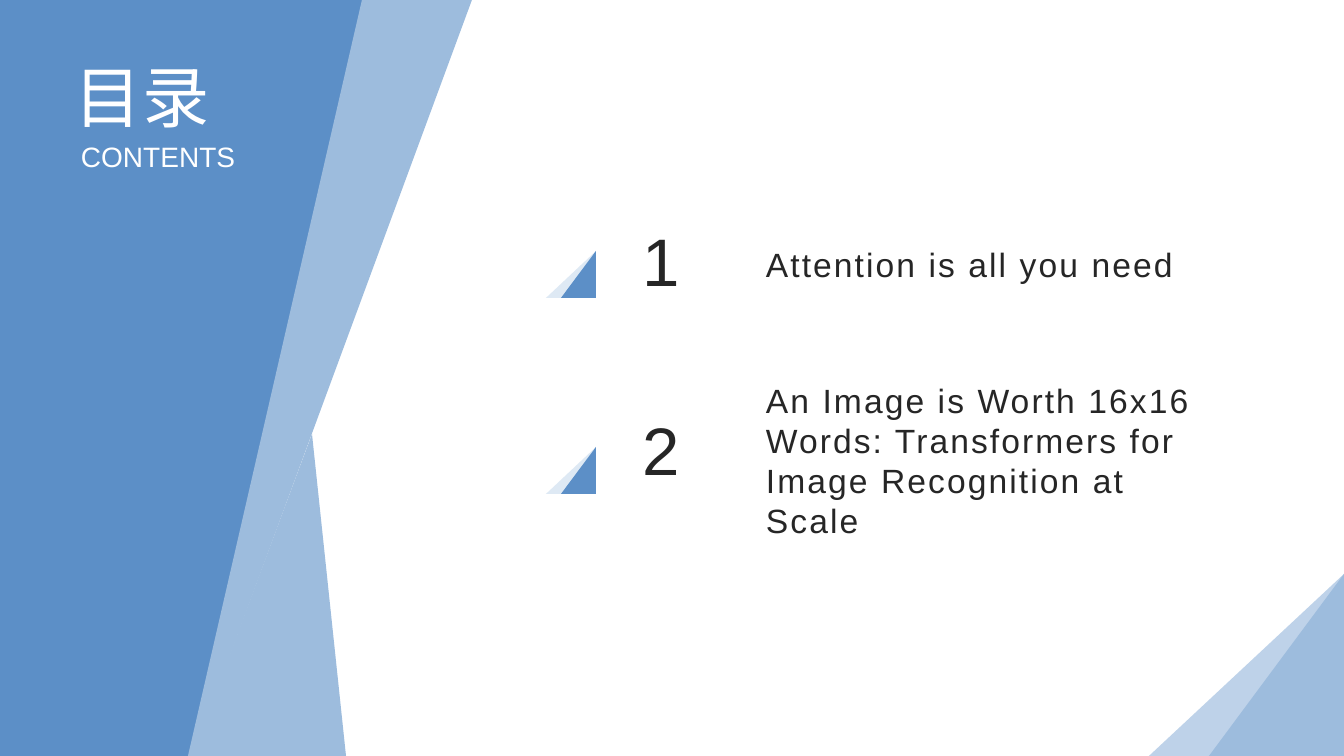
from pptx import Presentation
from pptx import util as u
from pptx.dml.color import RGBColor
from pptx.enum import shapes, text

WIDTH, HEIGHT = 1344, 756
EMU_PER_PX = u.Inches(13.3333) / WIDTH

BLUE, LIGHT_BLUE = "5C8FC7", "9DBCDD"
CORNER_PALE, MARKER_PALE = "BED2E9", "DEE9F4"
WHITE, INK = "FFFFFF", "262626"

# number, title, number top, marker top, title top, title height
TOPICS = [
    ("1", "Attention is all you need", 214, 251, 208, 112),
    ("2", "An Image is Worth 16x16 Words: Transformers for "
          "Image Recognition at Scale", 403, 447, 378, 164),
]


def px(length):
    return u.Emu(round(length * EMU_PER_PX))


def color(hex_value):
    return RGBColor.from_string(hex_value)


def paint(shape, fill):
    shape.fill.solid()
    shape.fill.fore_color.rgb = color(fill)
    shape.line.fill.background()
    shape.shadow.inherit = False


def add_polygon(slide, points, fill):
    outline = slide.shapes.build_freeform(*points[0], scale=EMU_PER_PX)
    outline.add_line_segments(points[1:], close=True)
    paint(outline.convert_to_shape(), fill)


def add_folded_corner(slide, left, fold, right, top, bottom, pale, fill):
    """A right triangle with a paler sliver showing on its left."""
    sliver_foot = right - round(0.27 * (right - fold))
    add_polygon(slide, [(right, top), (sliver_foot, bottom), (left, bottom)], pale)
    triangle = slide.shapes.add_shape(
        shapes.MSO_SHAPE.ISOSCELES_TRIANGLE,
        px(fold), px(top), px(right - fold), px(bottom - top))
    triangle.adjustments[0] = 1
    paint(triangle, fill)


def add_label(slide, words, box, size, ink, middle=False, tracking=0):
    frame = slide.shapes.add_textbox(*map(px, box)).text_frame
    frame.word_wrap = True
    if middle:
        frame.vertical_anchor = text.MSO_ANCHOR.MIDDLE
    frame.text = words
    font = frame.paragraphs[0].runs[0].font
    font.name = "Arial"
    font.size = u.Pt(size)
    font.color.rgb = color(ink)
    if tracking:
        font._element.set("spc", str(round(tracking * 100)))


def add_topic(slide, number, title, number_top, marker_top, title_top, title_height):
    add_label(slide, number, (633, number_top, 85, 134), 48, INK)
    add_folded_corner(slide, 546, 561, 596, marker_top, marker_top + 47,
                      MARKER_PALE, BLUE)
    add_label(slide, title, (756, title_top, 463, title_height), 24, INK,
              middle=True, tracking=1.5)


def main():
    deck = Presentation()
    deck.slide_width, deck.slide_height = px(WIDTH), px(HEIGHT)
    slide = deck.slides.add_slide(deck.slide_layouts[6])

    # Bottom right corner
    add_folded_corner(slide, 1149, 1209, WIDTH, 574, HEIGHT, CORNER_PALE, LIGHT_BLUE)

    # Left panel: blue field, slanted band, foot
    add_polygon(slide, [(0, 0), (365, 0), (189, HEIGHT), (0, HEIGHT)], BLUE)
    add_polygon(slide, [(472, 0), (193, HEIGHT), (188, HEIGHT), (362, 0)], LIGHT_BLUE)
    add_polygon(slide, [(312, 434), (346, HEIGHT), (192, HEIGHT)], LIGHT_BLUE)

    # Topics
    for topic in TOPICS:
        add_topic(slide, *topic)

    # Heading
    add_label(slide, "目录", (65, 50, 180, 92), 48, WHITE)
    add_label(slide, "CONTENTS", (71, 135, 176, 44), 20, WHITE)

    deck.save("out.pptx")


if __name__ == "__main__":
    main()
